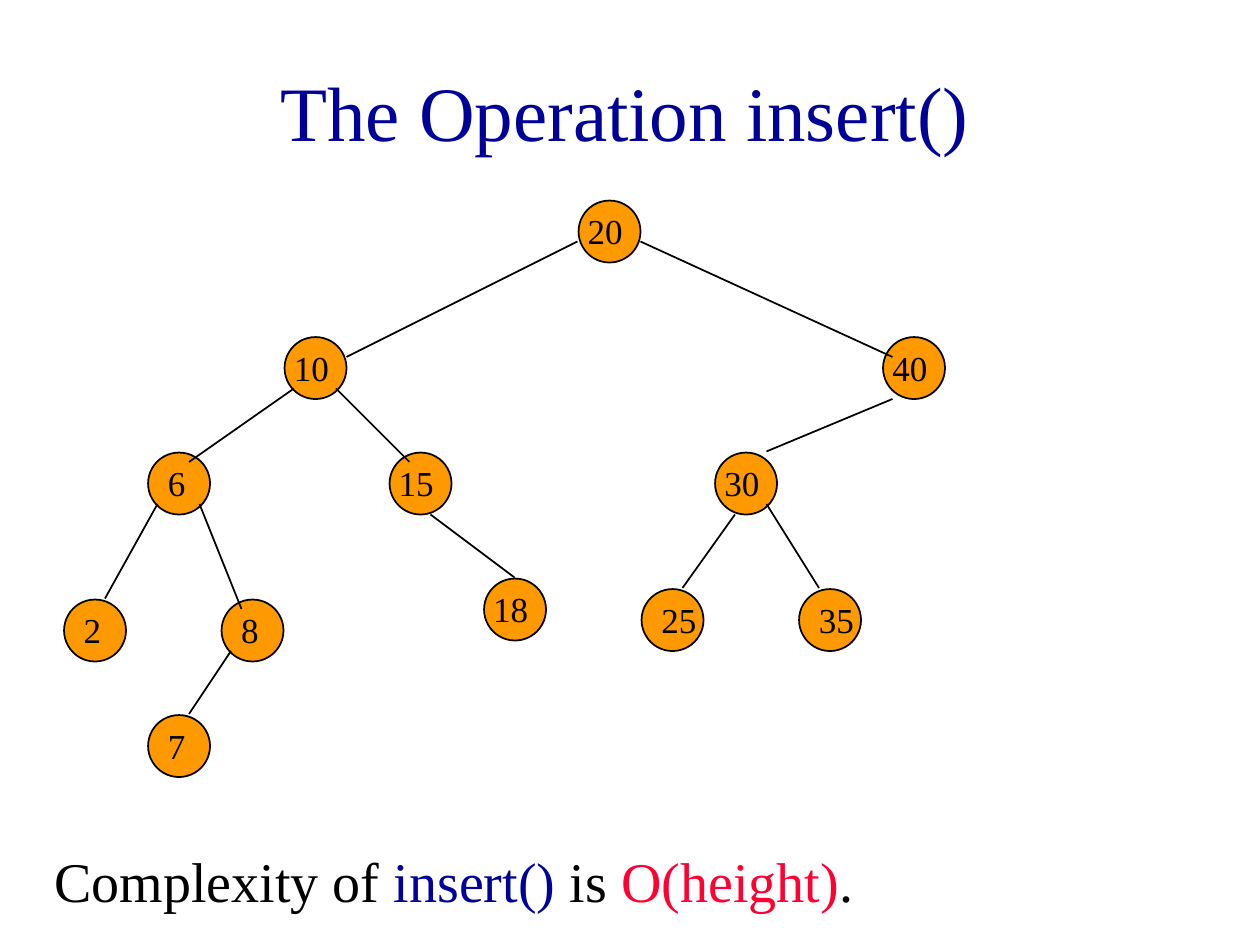
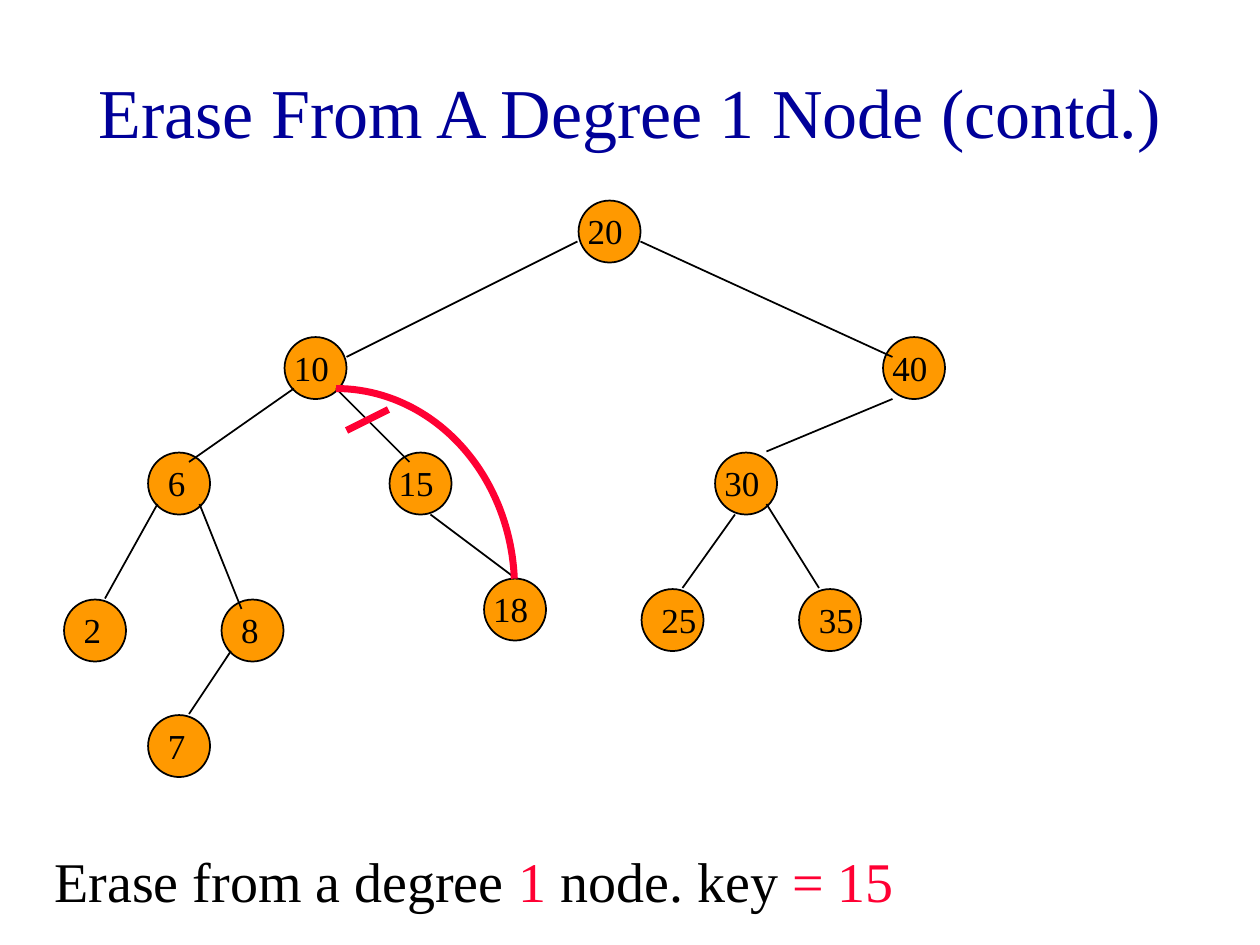
from lxml import etree
from pptx import Presentation
from pptx import util as u
from pptx.dml.color import RGBColor
from pptx.enum import shapes, text
from pptx.oxml import ns

PX = 7620
BLACK, NAVY, RED, ORANGE = "000000", "000099", "FF0033", "FF9900"
NODE = 59

NODES = {
    "20": (551, 191), "10": (271, 321), "40": (841, 321),
    "6": (141, 431), "15": (371, 431), "30": (681, 431),
    "2": (61, 571), "8": (211, 571), "18": (461, 551),
    "25": (611, 561), "35": (761, 561), "7": (141, 681),
}
INDENTED = {"6", "2", "8", "7", "25", "35"}
EDGES = [
    (550, 230, 330, 340), (610, 230, 850, 340),
    (280, 370, 180, 440), (320, 370, 390, 440), (850, 380, 730, 430),
    (150, 480, 100, 570), (190, 480, 230, 580), (410, 490, 490, 550),
    (700, 490, 650, 560), (730, 480, 780, 560), (220, 620, 180, 680),
]


def px(*lengths):
    return [u.Emu(length * PX) for length in lengths]


def colour(value):
    return RGBColor.from_string(value)


class Deck:
    """Holds the lecture style and the slide being drawn."""

    font = "Times New Roman"

    def __init__(self):
        self.prs = Presentation()
        self.prs.slide_width, self.prs.slide_height = px(1200, 900)
        self.canvas = None

    def new_slide(self):
        slide = self.prs.slides.add_slide(self.prs.slide_layouts[6])
        self.canvas = slide.shapes

    def stroke(self, line, ink, points):
        line.color.rgb = colour(ink)
        line.width = u.Pt(points)

    def words(self, box, runs, size, wrap=True, centred=False):
        frame = self.canvas.add_textbox(*px(*box)).text_frame
        frame.word_wrap = wrap
        paragraph = frame.paragraphs[0]
        paragraph.alignment = text.PP_ALIGN.LEFT
        if centred:
            paragraph.alignment = text.PP_ALIGN.CENTER
            frame.vertical_anchor = text.MSO_ANCHOR.MIDDLE
        else:
            frame.auto_size = text.MSO_AUTO_SIZE.SHAPE_TO_FIT_TEXT
        for wording, ink in runs:
            run = paragraph.add_run()
            run.text = wording
            run.font.name = self.font
            run.font.size = u.Pt(size)
            run.font.color.rgb = colour(ink)

    def title(self, wording, size, left, width):
        self.words((left, 30, width, 150), [(wording, NAVY)], size, centred=True)

    def remark(self, *runs):
        self.words((40, 800, 1080, 75), runs, 32)

    def node(self, left, top):
        circle = self.canvas.add_shape(shapes.MSO_SHAPE.OVAL, *px(left, top, NODE, NODE))
        circle.shadow.inherit = False
        circle.fill.solid()
        circle.fill.fore_color.rgb = colour(ORANGE)
        self.stroke(circle.line, BLACK, 1)

    def key(self, key, left, top):
        shift = 7 if key in INDENTED else -3
        width = 41 if len(key) == 1 else 58
        self.words((left + shift, top + 3, width, 52), [(key, BLACK)], 20, wrap=False)

    def edge(self, ends, ink=BLACK, points=1):
        link = self.canvas.add_connector(shapes.MSO_CONNECTOR.STRAIGHT, *px(*ends))
        self.stroke(link.line, ink, points)
        etree.SubElement(link._element.spPr, ns.qn("a:effectLst"))

    def arc(self, box, start, end):
        curve = self.canvas.add_shape(shapes.MSO_SHAPE.ARC, *px(*box))
        curve.shadow.inherit = False
        curve.fill.background()
        curve.adjustments[0] = start * 0.6
        curve.adjustments[1] = end * 0.6
        self.stroke(curve.line, RED, 4)

    def tree(self, grouped=False):
        page = self.canvas
        if grouped:
            self.canvas = page.add_group_shape().shapes
        for place in NODES.values():
            self.node(*place)
        for ends in EDGES:
            self.edge(ends)
        for key, place in NODES.items():
            self.key(key, *place)
        self.canvas = page


def insert_slide(deck):
    deck.new_slide()
    deck.title("The Operation insert()", 44, 10, 1170)
    deck.tree()
    deck.remark(("Complexity of ", BLACK), ("insert() ", NAVY), ("is ", BLACK),
                ("O(height)", RED), (".", BLACK))


def erase_slide(deck):
    deck.new_slide()
    deck.title("Erase From A Degree 1 Node (contd.)", 40, 30, 1140)
    deck.remark(("Erase from a degree ", BLACK), ("1 ", RED),
                ("node. key ", BLACK), ("= 15", RED))
    deck.tree(grouped=True)
    deck.arc((150, 370, 340, 380), 270, 357)
    deck.edge((370, 390, 330, 410), RED, 4)


def main():
    deck = Deck()
    insert_slide(deck)
    erase_slide(deck)
    deck.prs.save("out.pptx")


if __name__ == "__main__":
    main()
